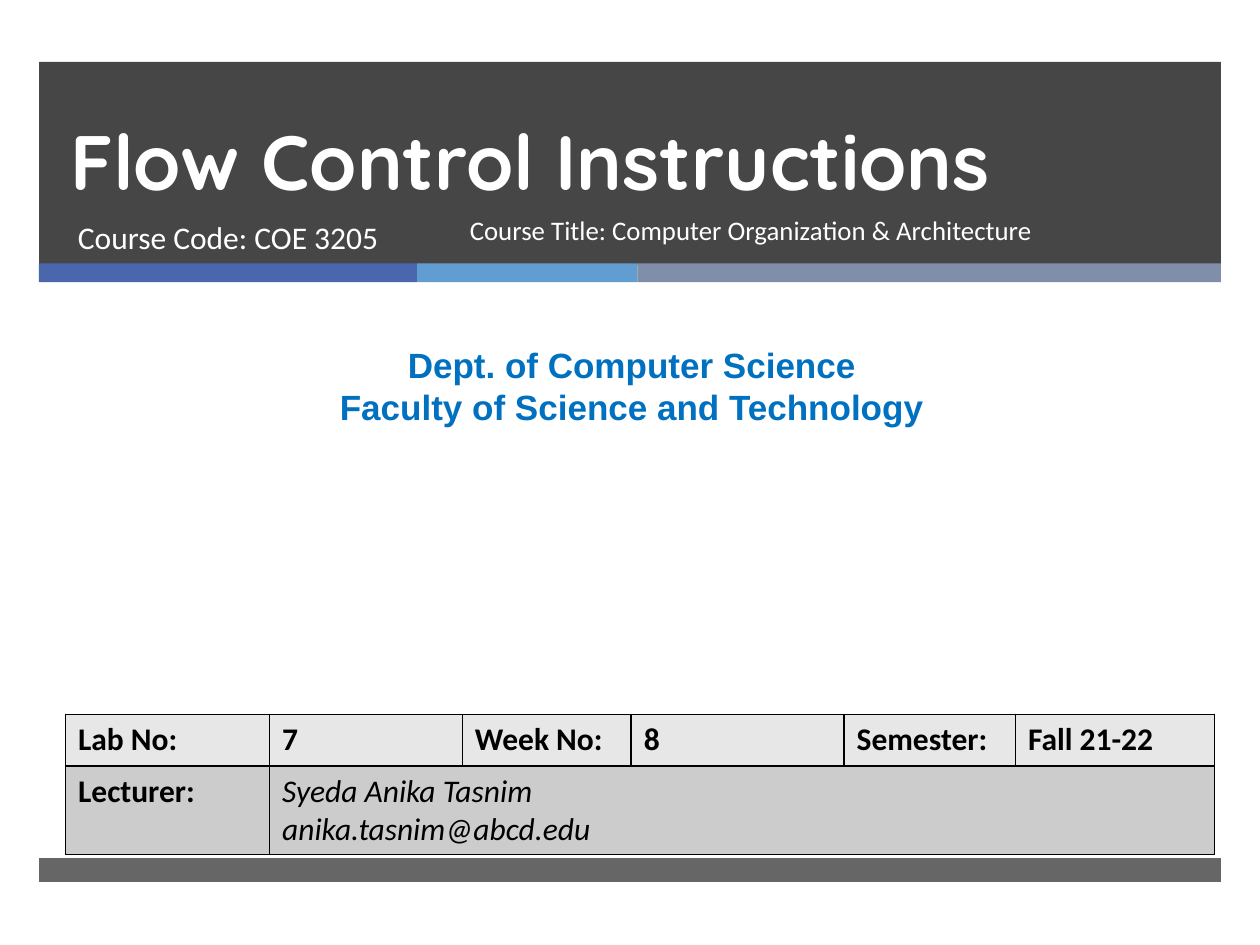
from itertools import accumulate
from lxml.etree import SubElement as Sub
from pptx import Presentation
from pptx.dml.color import RGBColor as Color
from pptx.enum.shapes import MSO_SHAPE as Shape
from pptx.enum.text import MSO_ANCHOR as Anchor, PP_ALIGN as Align
from pptx.oxml.ns import qn
from pptx.util import Inches, Pt

COLS, ROWS = 100, 75
WIDE, HIGH = Inches(10), Inches(7.5)

WHITE = Color(0xFF, 0xFF, 0xFF)
BLACK = Color(0, 0, 0)
DARK = Color(0x26, 0x26, 0x26)
NAVY = Color(0x4A, 0x66, 0xAC)
SKY = Color(0x62, 0x9D, 0xD1)
SLATE = Color(0x7F, 0x8F, 0xA9)
BLUE = Color(0x00, 0x70, 0xC0)
PALE = Color(0xE7, 0xE7, 0xE7)
GREY = Color(0xCC, 0xCC, 0xCC)

LEFT, SPAN = 3.1, 93.8
STRIPES = [(30, NAVY), (17.5, SKY), (46.3, SLATE)]
FIELDS = ["Lab No:", "7", "Week No:", "8", "Semester:", "Fall 21-22"]
WIDTHS = [16.2, 15.3, 13.4, 16.9, 13.6, 15.8]
HEIGHTS = [4.1, 7]
LECTURER = ["Syeda Anika Tasnim", "anika.tasnim@abcd.edu"]


def across(cols):
    """Turn grid columns into a length."""
    return round(WIDE * cols / COLS)


def down(rows):
    """Turn grid rows into a length."""
    return round(HIGH * rows / ROWS)


def place(x, y, w, h):
    """Turn a grid box into left, top, width and height."""
    return across(x), down(y), across(w), down(h)


def add_bar(slide, box, color, alpha=100):
    """Draw a plain bar, opaque to alpha percent."""
    bar = slide.shapes.add_shape(Shape.RECTANGLE, *place(*box))
    bar.shadow.inherit = False
    bar.line.fill.background()
    bar.fill.solid()
    bar.fill.fore_color.rgb = color
    if alpha < 100:
        tone = bar.fill._xPr.find(qn("a:solidFill"))[0]
        Sub(tone, qn("a:alpha"), val=str(alpha * 1000))


def write(frame, lines, size, color, face="Calibri", bold=False,
          italic=False, align=Align.LEFT, space=None):
    """Fill a text frame, one run to a paragraph."""
    frame.word_wrap = True
    for i, line in enumerate(lines):
        para = frame.add_paragraph() if i else frame.paragraphs[0]
        para.alignment = align
        if space:
            para.line_spacing = space
        run = para.add_run()
        run.text = line
        font = run.font
        font.name, font.size = face, Pt(size)
        font.bold, font.italic = bold, italic
        font.color.rgb = color


def add_text(slide, box, lines, size, color, anchor=Anchor.TOP, **style):
    """Add a text box."""
    frame = slide.shapes.add_textbox(*place(*box)).text_frame
    frame.vertical_anchor = anchor
    write(frame, lines, size, color, **style)


def edge(cell):
    """Give a cell thin black borders on all sides."""
    props = cell._tc.get_or_add_tcPr()
    for i, side in enumerate(("lnL", "lnR", "lnT", "lnB")):
        line = props.makeelement(qn("a:" + side), {"w": str(Pt(1))})
        fill = Sub(line, qn("a:solidFill"))
        Sub(fill, qn("a:srgbClr"), val=str(BLACK))
        props.insert(i, line)


def add_facts(slide):
    """Add the table of lab and lecturer details."""
    box = place(5.2, 56.7, sum(WIDTHS), sum(HEIGHTS))
    table = slide.shapes.add_table(len(HEIGHTS), len(WIDTHS), *box).table
    for col, width in zip(table.columns, WIDTHS):
        col.width = across(width)
    for row, height, tint in zip(table.rows, HEIGHTS, (PALE, GREY)):
        row.height = down(height)
        for cell in row.cells:
            cell.fill.solid()
            cell.fill.fore_color.rgb = tint
            edge(cell)
    for i, field in enumerate(FIELDS):
        write(table.cell(0, i).text_frame, [field], 18, BLACK, bold=True)
    write(table.cell(1, 0).text_frame, ["Lecturer:"], 18, BLACK, bold=True)
    table.cell(1, 1).merge(table.cell(1, len(WIDTHS) - 1))
    write(table.cell(1, 1).text_frame, LECTURER, 18, BLACK, italic=True)


def add_bands(slide):
    """Draw the header, its stripes and the footer."""
    add_bar(slide, (LEFT, 4.9, SPAN, 16.1), DARK, 85)
    starts = accumulate((w for w, _ in STRIPES), initial=LEFT)
    for x, (width, color) in zip(starts, STRIPES):
        add_bar(slide, (x, 20.9, width, 1.5), color)
    add_bar(slide, (LEFT, 68.1, SPAN, 1.9), DARK, 70)


def main():
    """Build the title slide."""
    deck = Presentation()
    deck.slide_width, deck.slide_height = WIDE, HIGH
    slide = deck.slides.add_slide(deck.slide_layouts[6])
    add_bands(slide)
    add_text(slide, (4.6, 4.9, 85.4, 11.9), ["Flow Control Instructions"],
             44, WHITE, Anchor.BOTTOM, face="Quicksand", bold=True,
             space=Pt(46))
    add_text(slide, (5.2, 16.8, 30.5, 5.3), ["Course Code: COE 3205"],
             18, WHITE)
    add_text(slide, (0.8, 26.8, 98.7, 7.7),
             ["Dept. of Computer Science",
              "Faculty of Science and Technology"],
             20, BLUE, face="Arial", bold=True, align=Align.CENTER)
    add_facts(slide)
    add_text(slide, (36.3, 16.8, 46.9, 5.3),
             ["Course Title: Computer Organization & Architecture"],
             15.3, WHITE, space=0.9)
    deck.save("out.pptx")


main()
